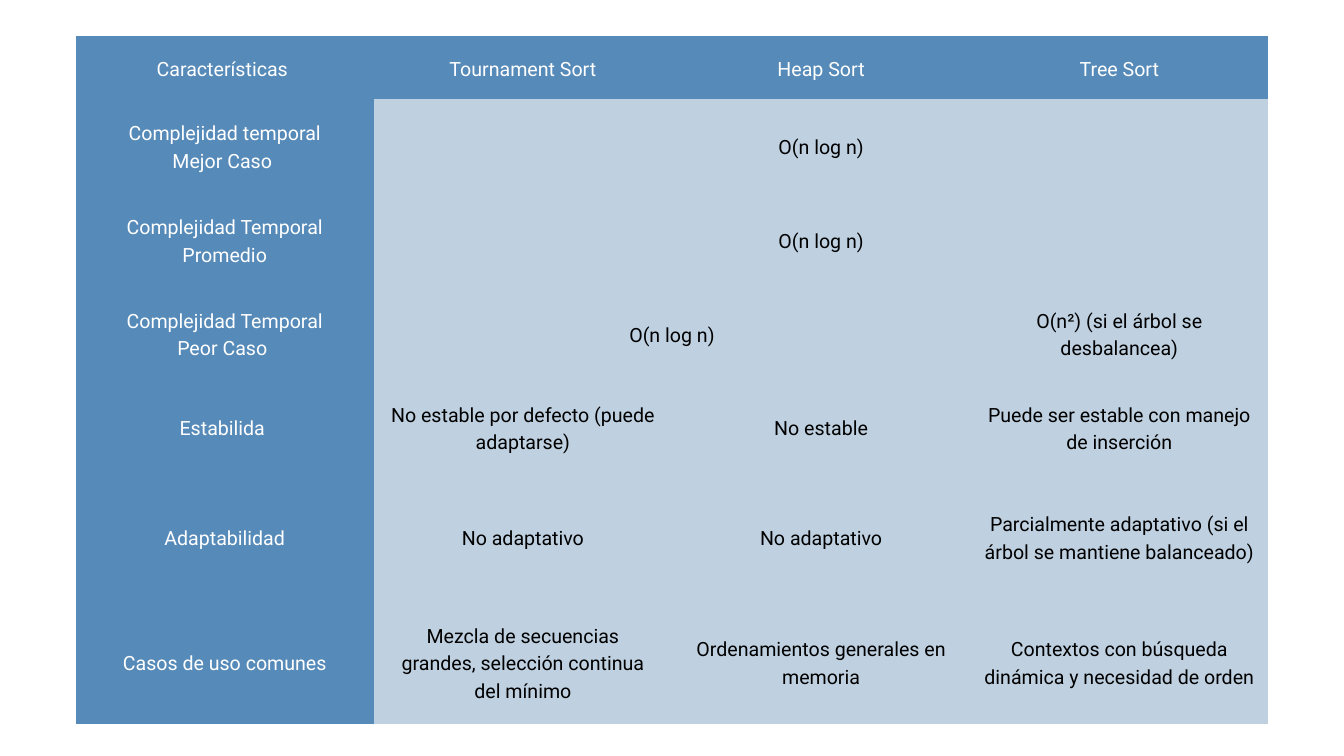
from lxml.etree import SubElement
from pptx import Presentation
from pptx.dml.color import RGBColor
from pptx.enum.text import MSO_ANCHOR, PP_ALIGN
from pptx.oxml.ns import qn
from pptx.util import Pt

PX = 9525  # EMU per px, 96 px to the inch
BLUE = RGBColor(0x56, 0x8A, 0xB9)
PALE_BLUE = RGBColor(0xBF, 0xD1, 0xE1)
WHITE = RGBColor(0xFF, 0xFF, 0xFF)
BLACK = RGBColor(0, 0, 0)
CELL_MARGIN = 20 * PX
ROW_HEIGHTS = [90] + [134] * 4 + [179] * 2

# None continues the cell on its left.
COMPARISON = [
    ["Características ", "Tournament Sort", "Heap Sort", "Tree Sort"],
    ["Complejidad temporal\nMejor Caso ", "O(n log n)", None, None],
    ["Complejidad Temporal\nPromedio", "O(n log n)", None, None],
    ["Complejidad Temporal\nPeor Caso ", "O(n log n)", None,
     "O(n²) (si el árbol se desbalancea)"],
    ["Estabilida ", "No estable por defecto (puede adaptarse)", "No estable",
     "Puede ser estable con manejo de inserción"],
    ["Adaptabilidad", "No adaptativo", "No adaptativo",
     "Parcialmente adaptativo (si el árbol se mantiene balanceado)"],
    ["Casos de uso comunes",
     "Mezcla de secuencias grandes, selección continua del mínimo",
     "Ordenamientos generales en memoria",
     "Contextos con búsqueda dinámica y necesidad de orden"],
]


def style_cell(cell, fill, color):
    # Borders come before the fill in tcPr.
    properties = cell._tc.get_or_add_tcPr()
    for side in ("a:lnL", "a:lnR", "a:lnT", "a:lnB"):
        border = SubElement(properties, qn(side), w="0")
        SubElement(border, qn("a:noFill"))
    cell.fill.solid()
    cell.fill.fore_color.rgb = fill
    cell.vertical_anchor = MSO_ANCHOR.MIDDLE
    cell.margin_left = cell.margin_right = CELL_MARGIN
    cell.margin_top = cell.margin_bottom = CELL_MARGIN
    for paragraph in cell.text_frame.paragraphs:
        paragraph.alignment = PP_ALIGN.CENTER
        paragraph.line_spacing = Pt(29.4)
        for run in paragraph.runs:
            run.font.name = "Roboto"
            run.font.size = Pt(21)
            run.font.color.rgb = color


def add_comparison(slide, left, top, width):
    rows, columns = len(COMPARISON), len(COMPARISON[0])
    table = slide.shapes.add_table(
        rows, columns, left * PX, top * PX, width * PX, sum(ROW_HEIGHTS) * PX
    ).table
    table.first_row = table.horz_banding = False
    for row, height in zip(table.rows, ROW_HEIGHTS):
        row.height = height * PX

    for r, entries in enumerate(COMPARISON):
        for c, entry in enumerate(entries):
            cell = table.cell(r, c)
            if entry is not None:
                cell.text_frame.text = entry
            is_header = r == 0 or c == 0
            style_cell(cell, BLUE if is_header else PALE_BLUE,
                       WHITE if is_header else BLACK)
        for c in range(1, columns):
            end = c
            while end + 1 < columns and entries[end + 1] is None:
                end += 1
            if entries[c] is not None and end > c:
                table.cell(r, c).merge(table.cell(r, end))


def main():
    deck = Presentation()
    deck.slide_width, deck.slide_height = 1920 * PX, 1080 * PX
    slide = deck.slides.add_slide(deck.slide_layouts[6])
    add_comparison(slide, 108, 51, 1704)
    deck.save("out.pptx")


if __name__ == "__main__":
    main()
